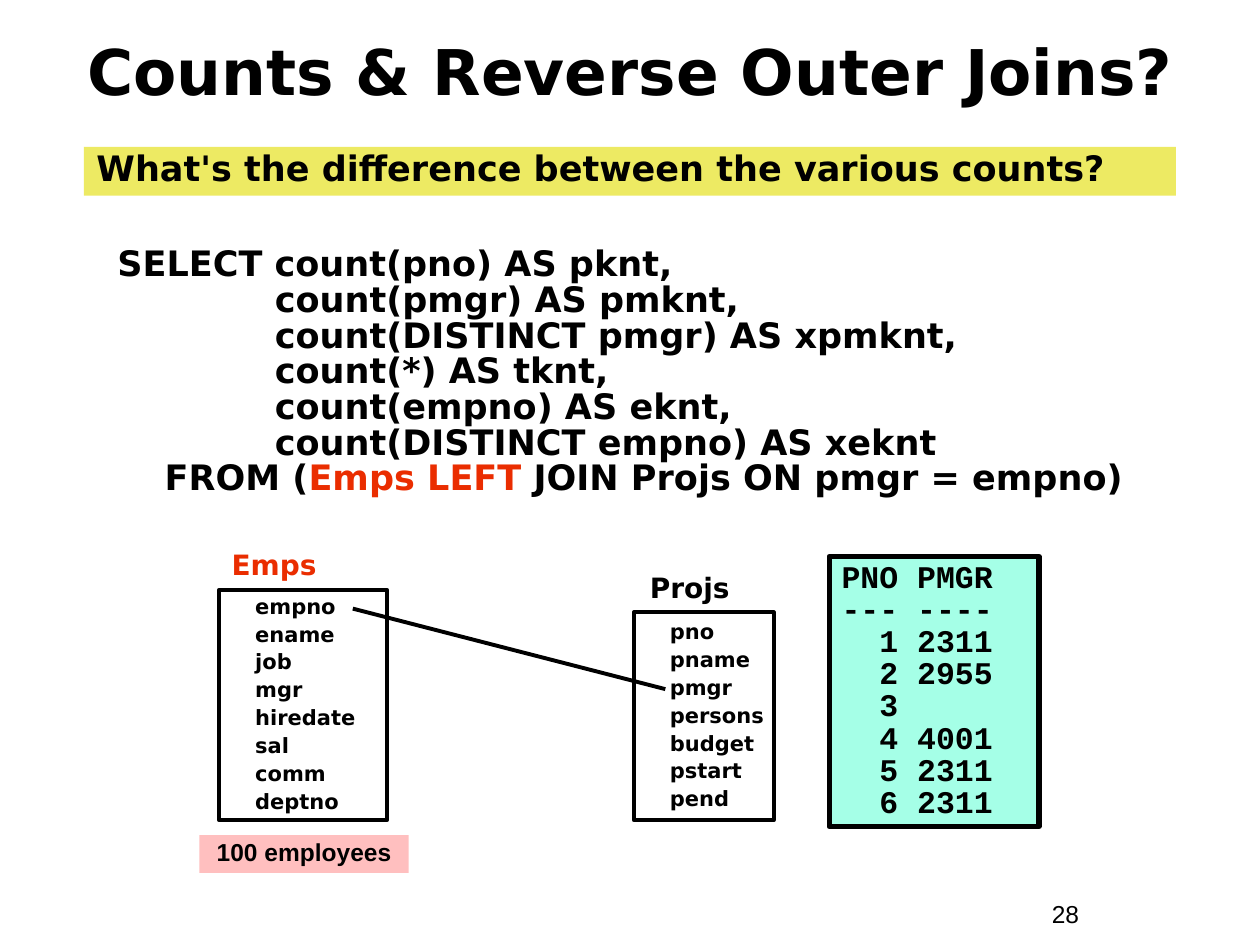
from lxml.etree import SubElement
from pptx import Presentation
from pptx.dml.color import RGBColor
from pptx.enum.shapes import MSO_CONNECTOR, MSO_SHAPE
from pptx.enum.text import MSO_ANCHOR as Anchor, MSO_AUTO_SIZE as AutoSize, PP_ALIGN as Align
from pptx.oxml.ns import qn
from pptx.util import Pt

BLACK, RED, YELLOW, MINT, PINK = "000000", "EA2D00", "EDEA63", "A5FFE7", "FFBFBF"
SANS, ARIAL, MONO = "DejaVu Sans", "Arial", "Courier New"

TITLE = "Counts & Reverse Outer Joins?"
QUESTION = "What's the difference between the various counts?"
COUNT_INDENT, FROM_INDENT = 90, 27
# Each line is (indent, runs); each run is (text, color).
QUERY = [
    (0, [("SELECT count(pno) AS pknt,", BLACK)]),
    (COUNT_INDENT, [("count(pmgr) AS pmknt,", BLACK)]),
    (COUNT_INDENT, [("count(DISTINCT pmgr) AS xpmknt,", BLACK)]),
    (COUNT_INDENT, [("count(*) AS tknt,", BLACK)]),
    (COUNT_INDENT, [("count(empno) AS eknt,", BLACK)]),
    (COUNT_INDENT, [("count(DISTINCT empno) AS xeknt", BLACK)]),
    (FROM_INDENT, [("FROM (", BLACK), ("Emps LEFT", RED),
                   (" JOIN Projs ON pmgr = empno)", BLACK)]),
]
# name, color, label position, box, columns
ENTITIES = [
    ("Emps", RED, (125.3, 311.8), (125.3, 337, 95.8, 131.8),
     ["empno", "ename", "job", "mgr", "hiredate", "sal", "comm", "deptno"]),
    ("Projs", BLACK, (364.3, 324.7), (362.2, 349.9, 79.9, 118.8),
     ["pno", "pname", "pmgr", "persons", "budget", "pstart", "pend"]),
]
JOIN_LINE = (201.6, 347.8, 380.2, 393.8)
PROJECT_HEAD = ["PNO PMGR", "--- ----"]
PROJECT_ROWS = ["1 2311", "2 2955", "3", "4 4001", "5 2311", "6 2311"]
NUMBER_INDENT = 21.6  # two characters of the 18 pt fixed-width font


def rgb(hex_color):
    return RGBColor.from_string(hex_color)


def write(shape, lines, size=20, font=SANS, color=BLACK, bold=True, align=Align.LEFT,
          anchor=Anchor.TOP, spacing=0.85, before=0, indent=0, right_inset=7.2):
    """Fill a shape with lines, each a string or a pair of indent and coloured runs."""
    frame = shape.text_frame
    frame.word_wrap, frame.auto_size = True, AutoSize.NONE
    frame.vertical_anchor = anchor
    frame.margin_left, frame.margin_right = Pt(7.2), Pt(right_inset)
    frame.margin_top = frame.margin_bottom = Pt(3.6)
    for number, line in enumerate(lines):
        left, runs = (indent, [(line, color)]) if isinstance(line, str) else line
        paragraph = frame.add_paragraph() if number else frame.paragraphs[0]
        paragraph.alignment, paragraph.line_spacing = align, spacing
        paragraph.space_before = Pt(before)
        properties = paragraph._p.get_or_add_pPr()
        properties.set("marL", str(Pt(left)))
        properties.set("indent", "0")
        for text, run_color in runs:
            run = paragraph.add_run()
            run.text = text
            run.font.size, run.font.name, run.font.bold = Pt(size), font, bold
            run.font.color.rgb = rgb(run_color)


def add_text(slide, box, lines, **text_format):
    write(slide.shapes.add_textbox(*map(Pt, box)), lines, **text_format)


def add_box(slide, box, lines, fill=None, line_width=0, **text_format):
    shape = slide.shapes.add_shape(MSO_SHAPE.RECTANGLE, *map(Pt, box))
    shape.shadow.inherit = False
    if fill:
        shape.fill.solid()
        shape.fill.fore_color.rgb = rgb(fill)
    else:
        shape.fill.background()
    if line_width:
        shape.line.width = Pt(line_width)
        shape.line.color.rgb = rgb(BLACK)
    else:
        shape.line.fill.background()
    write(shape, lines, **text_format)


def add_line(slide, ends, width):
    line = slide.shapes.add_connector(MSO_CONNECTOR.STRAIGHT, *map(Pt, ends))
    line.line.width = Pt(width)
    line.line.color.rgb = rgb(BLACK)
    SubElement(line._element.spPr, qn("a:effectLst"))


def main():
    deck = Presentation()
    deck.slide_width, deck.slide_height = Pt(720), Pt(540)
    slide = deck.slides.add_slide(deck.slide_layouts[5])

    title = slide.shapes.title
    title.left, title.top, title.width, title.height = map(Pt, (24, 7.2, 672, 66.2))
    write(title, [TITLE], size=36, align=Align.CENTER, anchor=Anchor.MIDDLE, spacing=1.0)

    add_box(slide, (48, 84, 624, 27.8), [QUESTION], fill=YELLOW)
    for name, color, label_at, box, columns in ENTITIES:
        add_box(slide, box, columns, line_width=2.25, size=12, anchor=Anchor.MIDDLE,
                spacing=0.9, before=3, indent=13.5, right_inset=0)
        add_text(slide, (*label_at, 98, 24.5), [name], size=16, color=color, spacing=0.9)
    add_line(slide, JOIN_LINE, 2.25)

    numbered = [(NUMBER_INDENT, [(row, BLACK)]) for row in PROJECT_ROWS]
    add_box(slide, (473.8, 318, 120, 154.3), PROJECT_HEAD + numbered,
            fill=MINT, line_width=3, size=18, font=MONO)
    add_box(slide, (114, 477.2, 119.5, 21.6), ["100 employees"],
            fill=PINK, size=14, font=ARIAL, align=Align.CENTER)
    add_text(slide, (60, 138.2, 606, 150.5), QUERY)
    add_text(slide, (594, 510, 66, 24.5), ["28"], size=14, font=ARIAL, bold=False, spacing=1.0)
    deck.save("out.pptx")


if __name__ == "__main__":
    main()
